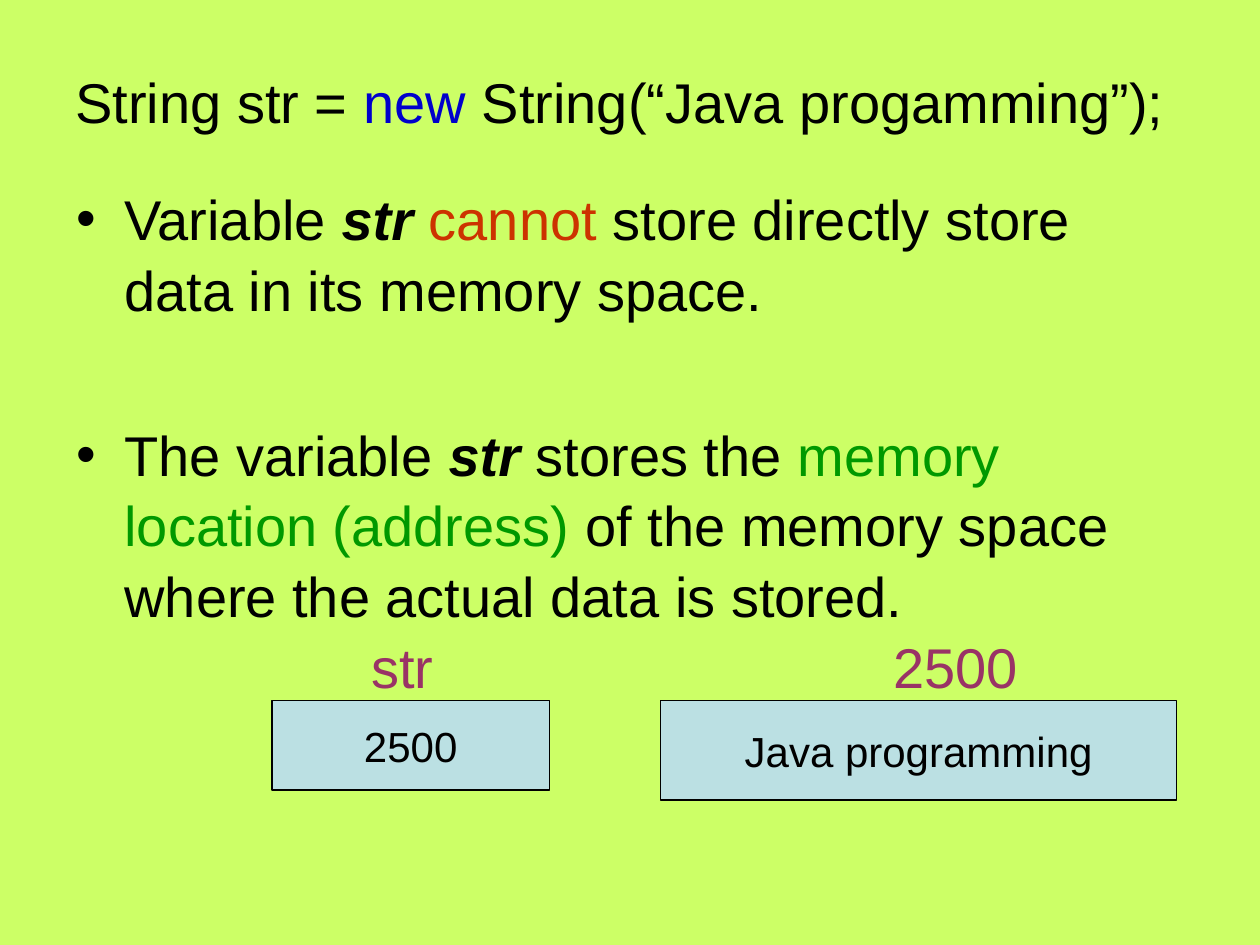
from lxml.etree import SubElement
from pptx import Presentation
from pptx.dml.color import RGBColor
from pptx.enum.shapes import MSO_SHAPE
from pptx.enum.text import MSO_ANCHOR, PP_ALIGN
from pptx.oxml.ns import qn
from pptx.util import Inches, Pt

COLORS = {
    "background": "CCFF66", "text": "000000", "keyword": "0000CC",
    "warning": "CC3300", "address": "009900", "label": "993366", "box": "BBE0E3",
}
CELL = 0.1  # inches; the slide is a grid of 100 columns by 75 rows


def color(name):
    return RGBColor.from_string(COLORS[name])


def cells(*counts):
    return [Inches(count * CELL) for count in counts]


class MemorySlide:
    """Holds the style and the slide that elements are added to."""

    font = "Arial"
    text_size = 32
    box_size = 24

    def __init__(self, presentation):
        self.slide = presentation.slides.add_slide(presentation.slide_layouts[6])
        fill = self.slide.background.fill
        fill.solid()
        fill.fore_color.rgb = color("background")

    def add_runs(self, paragraph, runs, size):
        """Add runs given as (text, color name, format values)."""
        for text, color_name, values in runs:
            run = paragraph.add_run()
            run.text = text
            run.font.color.rgb = color(color_name)
            formats = {"name": self.font, "size": Pt(size), **values}
            for name, value in formats.items():
                setattr(run.font, name, value)

    def add_text(self, place, runs, anchor=MSO_ANCHOR.TOP):
        frame = self.slide.shapes.add_textbox(*cells(*place)).text_frame
        frame.word_wrap = True
        frame.vertical_anchor = anchor
        self.add_runs(frame.paragraphs[0], runs, self.text_size)

    def add_bullets(self, place, items):
        """Add bulleted paragraphs given as (points before, runs)."""
        frame = self.slide.shapes.add_textbox(*cells(*place)).text_frame
        frame.word_wrap = True
        for index, (space_before, runs) in enumerate(items):
            paragraph = frame.add_paragraph() if index else frame.paragraphs[0]
            paragraph.space_before = Pt(space_before)
            paragraph.line_spacing = 1.05
            properties = paragraph._p.get_or_add_pPr()
            indent = Inches(0.38)
            properties.set("marL", str(indent))
            properties.set("indent", str(-indent))
            SubElement(properties, qn("a:buFont"), typeface=self.font)
            SubElement(properties, qn("a:buChar"), char="•")
            self.add_runs(paragraph, runs, self.text_size)

    def add_box(self, place, text):
        shape = self.slide.shapes.add_shape(
            MSO_SHAPE.FLOWCHART_PROCESS, *cells(*place))
        shape.shadow.inherit = False
        shape.fill.solid()
        shape.fill.fore_color.rgb = color("box")
        shape.line.color.rgb = color("text")
        shape.line.width = Pt(0.75)
        frame = shape.text_frame
        frame.word_wrap = False
        frame.vertical_anchor = MSO_ANCHOR.MIDDLE
        paragraph = frame.paragraphs[0]
        paragraph.alignment = PP_ALIGN.CENTER
        self.add_runs(paragraph, [(text, "text", {})], self.box_size)


def main():
    presentation = Presentation()
    presentation.slide_width, presentation.slide_height = cells(100, 75)
    page = MemorySlide(presentation)
    variable = {"bold": True, "italic": True}

    page.add_text((5, 3, 90, 10.1), [
        ("String str = ", "text", {}),
        ("new", "keyword", {}),
        (" String(“Java progamming”);", "text", {}),
    ], MSO_ANCHOR.MIDDLE)

    page.add_bullets((5.1, 13.9, 90, 36), [
        (0, [
            ("Variable ", "text", {}),
            ("str ", "text", variable),
            ("cannot", "warning", {}),
            (" store directly store data in its memory space.", "text", {}),
        ]),
        (54, [
            ("The variable ", "text", {}),
            ("str", "text", variable),
            (" stores the ", "text", {}),
            ("memory location (address) ", "address", {}),
            ("of the memory space where the actual data is stored.", "text", {}),
        ]),
    ])

    box_top, label_top = 55.6, 49.7
    for label, label_left, content, left, width, height in (
        ("str", 28.5, "2500", 21.6, 22, 7.1),
        ("2500", 69.9, "Java programming", 52.4, 41, 7.9),
    ):
        page.add_text((label_left, label_top, 15, 5.9), [(label, "label", {})])
        page.add_box((left, box_top, width, height), content)

    presentation.save("out.pptx")


if __name__ == "__main__":
    main()
